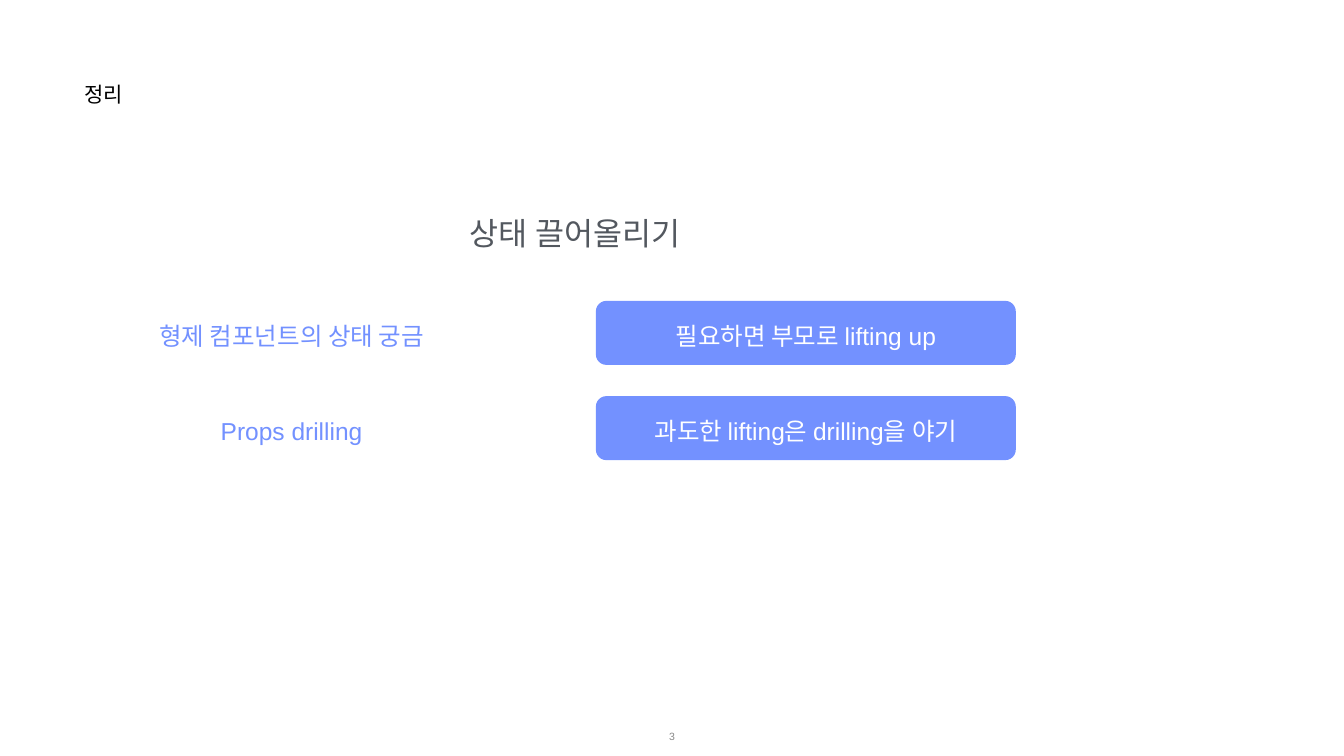
"""Build the summary slide on lifting state up."""
import pptx
import pptx.dml.color
import pptx.enum.shapes
import pptx.enum.text
import pptx.util
from dataclasses import dataclass

TITLE = "정리"
HEADING = "상태 끌어올리기"
PAGE_NUMBER = "3"
ROWS = [
    ("형제 컴포넌트의 상태 궁금", "필요하면 부모로 lifting up"),
    ("Props drilling", "과도한 lifting은 drilling을 야기"),
]


@dataclass(frozen=True)
class Theme:
    font: str = "Arial"
    black: str = "000000"
    gray: str = "53585F"
    pale: str = "888888"
    blue: str = "7391FF"
    white: str = "FFFFFF"
    title: int = 30
    heading: int = 45
    label: int = 35
    number: int = 15


THEME = Theme()
WIDTH, HEIGHT = 26.66, 15
TERM_LEFT, TERM_WIDTH = 2.66, 6.25
CARD_LEFT, CARD_WIDTH = 11.82, 8.33
GRID_TOP, ROW_PITCH = 5.97, 1.89
CARD_HEIGHT, CARD_ROUNDING = 1.27, 0.164
LABEL_OFFSET, LABEL_HEIGHT = 0.38, 0.62
INSET = 0.01

ALIGN = pptx.enum.text.PP_ALIGN
ANCHOR = pptx.enum.text.MSO_ANCHOR


def rgb(color):
    return pptx.dml.color.RGBColor.from_string(color)


def inches(*lengths):
    return [pptx.util.Inches(length) for length in lengths]


def add_text(page, text, area, size, color, align=ALIGN.CENTER, anchor=ANCHOR.MIDDLE):
    frame = page.shapes.add_textbox(*inches(*area)).text_frame
    frame.word_wrap = True
    frame.vertical_anchor = anchor
    frame.margin_left = frame.margin_right = pptx.util.Inches(INSET)
    frame.margin_top = frame.margin_bottom = pptx.util.Inches(INSET)
    para = frame.paragraphs[0]
    para.text = text
    para.alignment = align
    para.font.name = THEME.font
    para.font.size = pptx.util.Pt(size)
    para.font.color.rgb = rgb(color)


def add_card(page, top):
    card = page.shapes.add_shape(
        pptx.enum.shapes.MSO_SHAPE.ROUNDED_RECTANGLE,
        *inches(CARD_LEFT, top, CARD_WIDTH, CARD_HEIGHT))
    card.adjustments[0] = CARD_ROUNDING
    card.shadow.inherit = False
    card.fill.solid()
    card.fill.fore_color.rgb = rgb(THEME.blue)
    card.line.fill.background()


def main():
    deck = pptx.Presentation()
    deck.slide_width, deck.slide_height = inches(WIDTH, HEIGHT)
    page = deck.slides.add_slide(deck.slide_layouts[6])

    add_text(page, TITLE, (1.67, 1.6, 4.86, 1.18), THEME.title, THEME.black,
             ALIGN.LEFT, ANCHOR.TOP)
    heading_width = CARD_LEFT + CARD_WIDTH - TERM_LEFT
    add_text(page, HEADING, (TERM_LEFT, 4.24, heading_width, 0.79),
             THEME.heading, THEME.gray, anchor=ANCHOR.TOP)

    for row, (term, advice) in enumerate(ROWS):
        top = GRID_TOP + row * ROW_PITCH
        label_top = top + LABEL_OFFSET
        add_card(page, top)
        add_text(page, term, (TERM_LEFT, label_top, TERM_WIDTH, LABEL_HEIGHT),
                 THEME.label, THEME.blue)
        add_text(page, advice, (CARD_LEFT, label_top, CARD_WIDTH, LABEL_HEIGHT),
                 THEME.label, THEME.white)

    number_width, number_height = 6, 0.79
    add_text(page, PAGE_NUMBER,
             ((WIDTH - number_width) / 2, HEIGHT - number_height, number_width, number_height),
             THEME.number, THEME.pale)
    deck.save("out.pptx")


if __name__ == "__main__":
    main()
